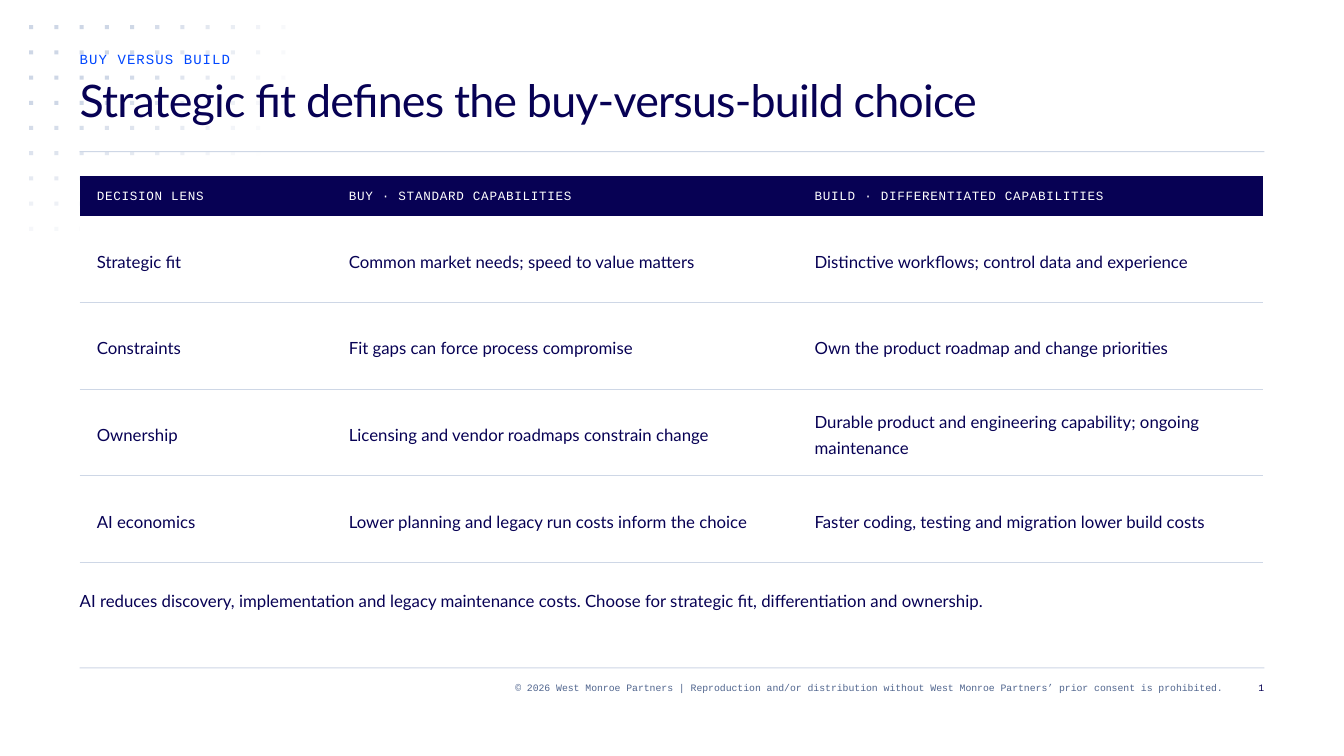
import math
from dataclasses import dataclass

import pptx
import pptx.dml.color
import pptx.enum.shapes
import pptx.enum.text
import pptx.oxml
import pptx.oxml.ns
import pptx.util
from lxml import etree
from pptx.util import Inches

ALIGN = pptx.enum.text.PP_ALIGN
ANCHOR = pptx.enum.text.MSO_ANCHOR


@dataclass(frozen=True)
class Theme:
    """Colours, fonts and type sizes of the slide."""
    navy: str = "070154"
    blue: str = "0047FF"
    slate: str = "50658E"
    mist: str = "CED7E6"
    white: str = "FFFFFF"
    sans: str = "Lato"
    mono: str = "Courier New"
    title: float = 32
    body: float = 12
    label: float = 10
    head: float = 9
    foot: float = 7


THEME = Theme()
LEFT, WIDTH = 0.79, 11.75
COLS = (2.5, 4.62, 4.62)
HEAD_H, ROW_H = 0.39, 0.86
ROWS = (
    ("DECISION LENS", "BUY · STANDARD CAPABILITIES",
     "BUILD · DIFFERENTIATED CAPABILITIES"),
    ("Strategic fit", "Common market needs; speed to value matters",
     "Distinctive workflows; control data and experience"),
    ("Constraints", "Fit gaps can force process compromise",
     "Own the product roadmap and change priorities"),
    ("Ownership", "Licensing and vendor roadmaps constrain change",
     "Durable product and engineering capability; ongoing maintenance"),
    ("AI economics", "Lower planning and legacy run costs inform the choice",
     "Faster coding, testing and migration lower build costs"),
)


def rgb(code):
    """Turn a hex code into a colour."""
    return pptx.dml.color.RGBColor.from_string(code)


def write(frame, text, font=THEME.sans, size=THEME.body, color=THEME.navy,
          lead=18, track=0, align=ALIGN.LEFT):
    """Put one formatted paragraph into a text frame."""
    para = frame.paragraphs[0]
    para.alignment = align
    para.line_spacing = pptx.util.Pt(lead)
    run = para.add_run()
    run.text = text
    run.font.name = font
    run.font.size = pptx.util.Pt(size)
    run.font.color.rgb = rgb(color)
    run._r.get_or_add_rPr().set("spc", str(round(track * 100)))


def fit(frame):
    """Give a frame zero insets, wrapping and a top anchor."""
    frame.margin_left = frame.margin_right = 0
    frame.margin_top = frame.margin_bottom = 0
    frame.auto_size = pptx.enum.text.MSO_AUTO_SIZE.NONE
    frame.word_wrap = True
    frame.vertical_anchor = ANCHOR.TOP


def add_text(slide, text, left, top, width, height, **style):
    """Add a text box."""
    box = slide.shapes.add_textbox(
        Inches(left), Inches(top), Inches(width), Inches(height))
    fit(box.text_frame)
    write(box.text_frame, text, **style)


def add_title(slide, text):
    """Fill and place the title placeholder."""
    title = slide.shapes.title
    title.left, title.top = Inches(LEFT), Inches(0.75)
    title.width, title.height = Inches(WIDTH), Inches(0.75)
    fit(title.text_frame)
    write(title.text_frame, text, size=THEME.title, lead=36, track=-0.6)


def add_rect(slide, left, top, width, height, alpha=100):
    """Add a plain mist rectangle behind the title."""
    rect = slide.shapes.add_shape(
        pptx.enum.shapes.MSO_SHAPE.RECTANGLE,
        Inches(left), Inches(top), Inches(width), Inches(height))
    rect.shadow.inherit = False
    rect.line.fill.background()
    rect.fill.solid()
    rect.fill.fore_color.rgb = rgb(THEME.mist)
    if alpha < 100:
        tint = rect.element.spPr.find(".//" + pptx.oxml.ns.qn("a:srgbClr"))
        mark = etree.SubElement(tint, pptx.oxml.ns.qn("a:alpha"))
        mark.set("val", str(alpha * 1000))
    slide.shapes.title.element.addprevious(rect.element)


def add_dots(slide):
    """Add the dot grid that fades along an ellipse."""
    for col in range(11):
        for row in range(9):
            reach = math.hypot(col / 11.08, row / 9.07)
            alpha = min(100, int(153 * (1 - reach)))
            if alpha >= 2:
                add_rect(slide, 0.29 + col * 0.25, 0.25 + row * 0.25,
                         0.04, 0.04, alpha)


def set_edge(cell, side, color=None):
    """Draw or clear one border of a cell."""
    fill = (f'<a:solidFill><a:srgbClr val="{color}"/></a:solidFill>'
            if color else "<a:noFill/>")
    space = pptx.oxml.ns.nsdecls("a")
    cell._tc.get_or_add_tcPr().append(pptx.oxml.parse_xml(
        f'<a:ln{side} {space} w="9525">{fill}</a:ln{side}>'))


def fill_cell(cell, text, row):
    """Format one table cell and write its text."""
    head = row == 0
    set_edge(cell, "L")
    set_edge(cell, "R")
    set_edge(cell, "T", THEME.mist if row > 1 else None)
    set_edge(cell, "B", None if head else THEME.mist)
    cell.fill.solid()
    cell.fill.fore_color.rgb = rgb(THEME.navy if head else THEME.white)
    cell.margin_left = cell.margin_right = Inches(0.17)
    cell.margin_top = cell.margin_bottom = 0
    cell.vertical_anchor = ANCHOR.MIDDLE
    style = dict(font=THEME.mono, size=THEME.head, color=THEME.white,
                 lead=12, track=0.5) if head else {}
    write(cell.text_frame, text, **style)


def add_grid(slide):
    """Add the table of decision lenses."""
    high = HEAD_H + ROW_H * (len(ROWS) - 1)
    table = slide.shapes.add_table(
        len(ROWS), len(COLS), Inches(LEFT), Inches(1.75),
        Inches(sum(COLS)), Inches(high)).table
    table.horz_banding = False
    for col, width in zip(table.columns, COLS):
        col.width = Inches(width)
    for row, texts in enumerate(ROWS):
        table.rows[row].height = Inches(ROW_H if row else HEAD_H)
        for col, text in enumerate(texts):
            fill_cell(table.cell(row, col), text, row)


def main():
    """Build the slide and save it."""
    deck = pptx.Presentation()
    deck.slide_width, deck.slide_height = Inches(13.33), Inches(7.5)
    slide = deck.slides.add_slide(deck.slide_layouts[5])
    add_rect(slide, LEFT, 6.62, WIDTH, 0.01)
    add_dots(slide)
    add_rect(slide, LEFT, 1.5, WIDTH, 0.01)
    add_title(slide, "Strategic fit defines the buy-versus-build choice")
    add_text(slide, "BUY VERSUS BUILD", LEFT, 0.5, WIDTH, 0.17,
             font=THEME.mono, size=THEME.label, color=THEME.blue,
             lead=12, track=0.8)
    add_grid(slide)
    add_text(slide, "AI reduces discovery, implementation and legacy "
             "maintenance costs. Choose for strategic fit, differentiation "
             "and ownership.", LEFT, 5.81, WIDTH, 0.58)
    foot = dict(font=THEME.mono, size=THEME.foot, lead=9, align=ALIGN.RIGHT)
    add_text(slide, "© 2026 West Monroe Partners | Reproduction and/or "
             "distribution without West Monroe Partners’ prior consent is "
             "prohibited.", 2.38, 6.75, 9.75, 0.25, color=THEME.slate, **foot)
    add_text(slide, "1", 12.21, 6.75, 0.33, 0.25, **foot)
    deck.save("out.pptx")


if __name__ == "__main__":
    main()
